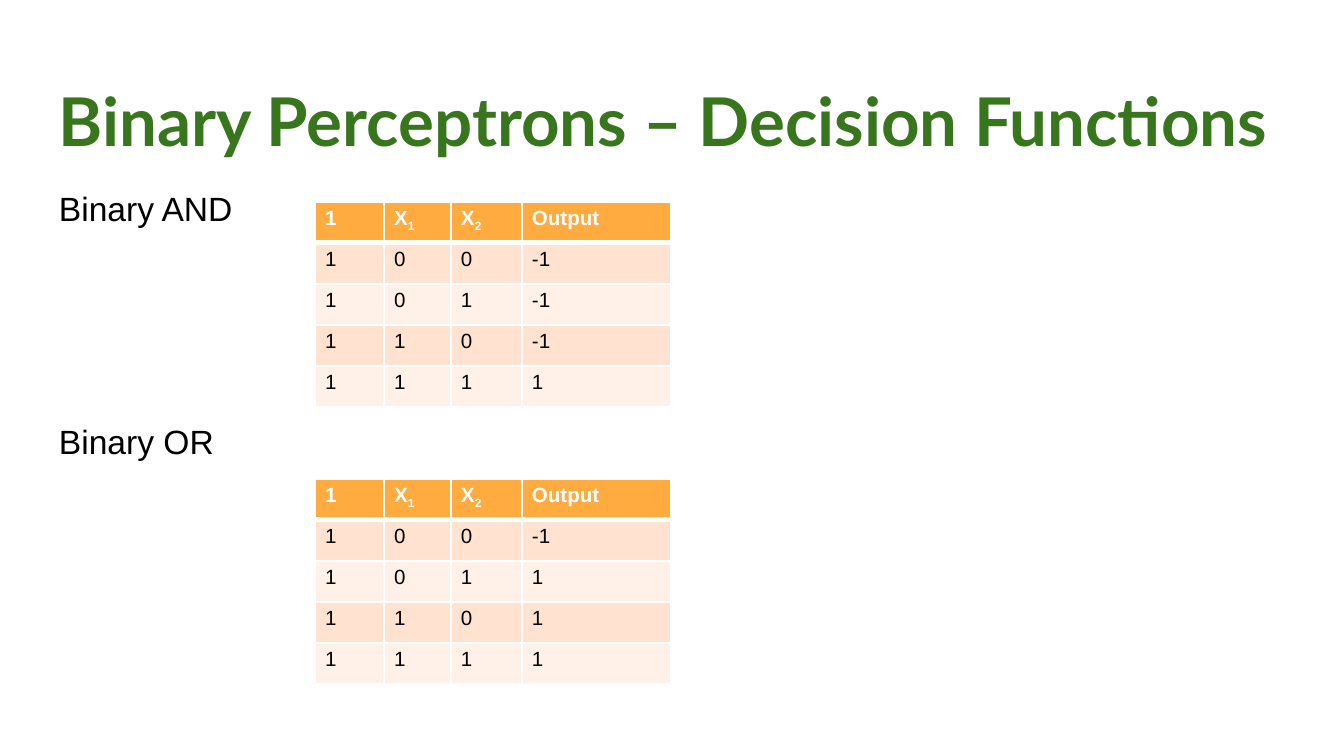
import pptx
import pptx.dml.color
import pptx.enum.text
import pptx.oxml.ns
import pptx.util
from lxml import etree

PX = 6804  # EMU per px, with a slide 1344 px wide
GREEN, BLACK, WHITE = "38761D", "000000", "FFFFFF"
ORANGE, PEACH, CREAM = "FFAB40", "FFE2CF", "FFF1E8"
COLUMN_WIDTHS = [69, 67, 71, 149]
ROW_HEIGHT = 41
INPUTS = [(0, 0), (0, 1), (1, 0), (1, 1)]


def px(n):
    return pptx.util.Emu(n * PX)


def rgb(value):
    return pptx.dml.color.RGBColor.from_string(value)


def add_text(p, text, size, color=BLACK, font="Arial", bold=False, subscript=False):
    r = p.add_run()
    r.text = text
    r.font.size = pptx.util.Pt(size)
    r.font.name = font
    r.font.bold = bold
    r.font.color.rgb = rgb(color)
    if subscript:
        r.font._element.set("baseline", "-25000")


def set_frame(tf):
    tf.word_wrap = True
    tf.auto_size = pptx.enum.text.MSO_AUTO_SIZE.NONE
    tf.vertical_anchor = pptx.enum.text.MSO_ANCHOR.TOP
    tf.margin_left = tf.margin_right = tf.margin_top = tf.margin_bottom = px(13)


def add_title(s, x, y, w, h):
    sp = s.shapes.title
    sp.left, sp.top, sp.width, sp.height = px(x), px(y), px(w), px(h)
    set_frame(sp.text_frame)
    p = sp.text_frame.paragraphs[0]
    p.alignment = pptx.enum.text.PP_ALIGN.LEFT
    add_text(p, "Binary Perceptrons – Decision Functions", 36, GREEN, "Lato", bold=True)


def add_labels(s, x, y, w, h):
    tf = s.shapes.add_textbox(px(x), px(y), px(w), px(h)).text_frame
    set_frame(tf)
    first, second = tf.paragraphs[0], tf.add_paragraph()
    second.space_before = pptx.util.Pt(100)
    for p, text in ((first, "Binary AND"), (second, "Binary OR")):
        p.line_spacing = 1.15
        add_text(p, text, 18)


def set_borders(cell, bottom):
    """Draw white borders, 1 pt wide except for the bottom one."""
    tc_pr = cell._tc.get_or_add_tcPr()
    widths = {"lnL": 1, "lnR": 1, "lnT": 1, "lnB": bottom}
    for i, (side, width) in enumerate(widths.items()):
        ln = etree.Element(pptx.oxml.ns.qn("a:" + side), w=str(pptx.util.Pt(width)))
        fill = etree.SubElement(ln, pptx.oxml.ns.qn("a:solidFill"))
        etree.SubElement(fill, pptx.oxml.ns.qn("a:srgbClr"), val=WHITE)
        tc_pr.insert(i, ln)


def add_truth_table(s, x, y, outputs):
    rows = [["1", "X1", "X2", "Output"]]
    rows += [["1", str(a), str(b), str(out)] for (a, b), out in zip(INPUTS, outputs)]
    table = s.shapes.add_table(len(rows), len(COLUMN_WIDTHS), px(x), px(y),
                               px(sum(COLUMN_WIDTHS)), px(ROW_HEIGHT * len(rows))).table
    for column, width in zip(table.columns, COLUMN_WIDTHS):
        column.width = px(width)
    for i, row in enumerate(rows):
        header = i == 0
        table.rows[i].height = px(ROW_HEIGHT)
        for j, text in enumerate(row):
            cell = table.cell(i, j)
            cell.margin_left = cell.margin_right = px(10)
            cell.margin_top = cell.margin_bottom = px(5)
            cell.fill.solid()
            cell.fill.fore_color.rgb = rgb(ORANGE if header else PEACH if i % 2 else CREAM)
            set_borders(cell, bottom=3 if header else 1)
            p = cell.text_frame.paragraphs[0]
            style = {"size": 11, "color": WHITE if header else BLACK, "bold": header}
            if text.startswith("X"):
                add_text(p, text[0], **style)
                add_text(p, text[1], subscript=True, **style)
            else:
                add_text(p, text, **style)


def main():
    prs = pptx.Presentation()
    prs.slide_width, prs.slide_height = px(1344), px(756)
    s = prs.slides.add_slide(prs.slide_layouts[5])
    add_title(s, 46, 66, 1252, 85)
    add_labels(s, 46, 169, 260, 503)
    add_truth_table(s, 315, 202, [-1, -1, -1, 1])
    add_truth_table(s, 315, 479, [-1, 1, 1, 1])
    prs.save("out.pptx")


if __name__ == "__main__":
    main()
